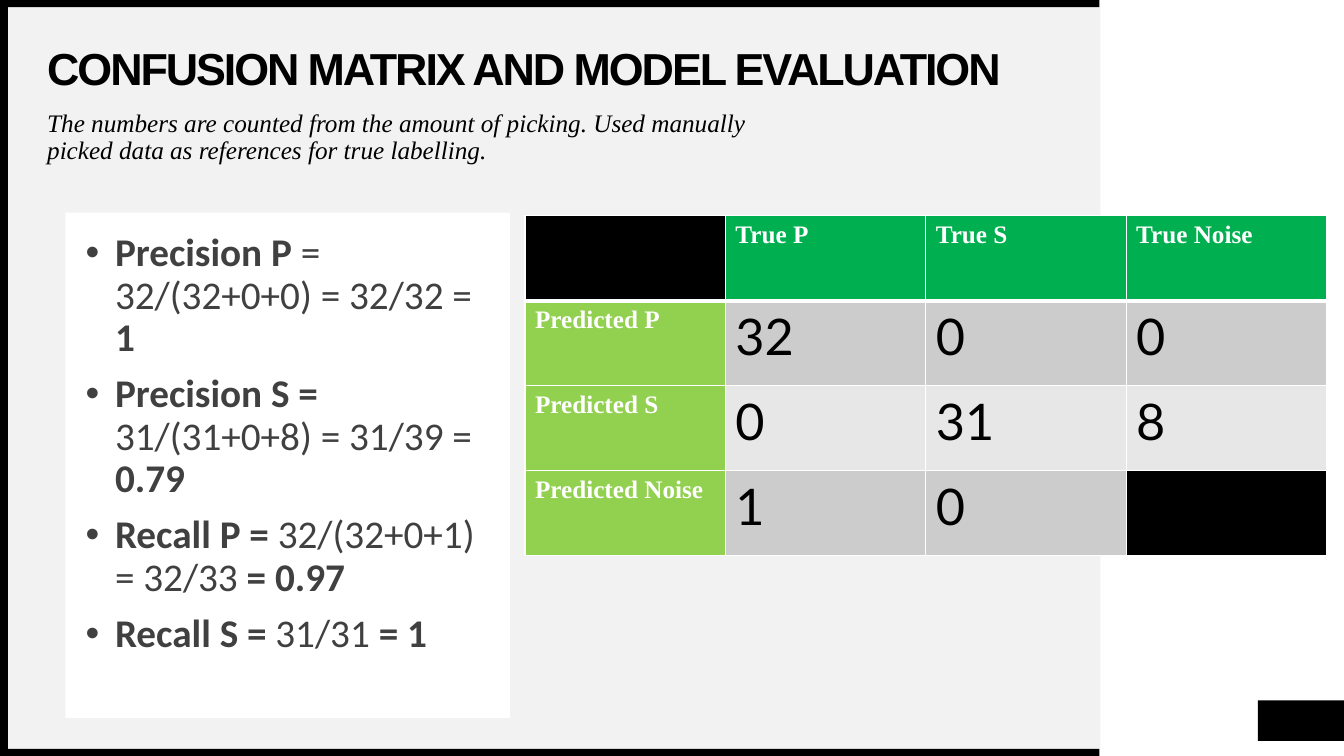
"""Build the confusion matrix and model evaluation slide."""
from lxml.etree import SubElement
from pptx import Presentation
from pptx.dml.color import RGBColor
from pptx.enum.shapes import MSO_SHAPE
from pptx.enum.text import MSO_ANCHOR, PP_ALIGN
from pptx.oxml import parse_xml
from pptx.oxml.ns import nsdecls, qn
from pptx.util import Cm, Pt

TITLE = "CONFUSION MATRIX AND MODEL EVALUATION"
SUBTITLE = ("The numbers are counted from the amount of picking. "
            "Used manually picked data as references for true labelling.")
SCORES = [
    ("Precision P", " = 32/(32+0+0) = 32/32 = ", "1"),
    ("Precision S = ", "31/(31+0+8) = 31/39 = ", "0.79"),
    ("Recall P = ", "32/(32+0+1) = 32/33 ", "= 0.97"),
    ("Recall S =", " 31/31 ", "= 1"),
]
MATRIX = [
    ("", "True P", "True S", "True Noise"),
    ("Predicted P", "32", "0", "0"),
    ("Predicted S", "0", "31", "8"),
    ("Predicted Noise", "1", "0", ""),
]
BLACK, WHITE, PANEL = "000000", "FFFFFF", "F2F2F2"
HEADER, LABEL, BANDS = "00B050", "92D050", ("E7E7E7", "CCCCCC")
BLOCKS = [
    (0.2, 0.18, 27.53, 18.69, PANEL),
    (31.7, 17.65, 2.17, 1.02, BLACK),
    (0, 18.87, 27.71, 0.18, BLACK),
    (0, 0, 27.71, 0.18, BLACK),
    (0, 0.09, 0.2, 18.97, BLACK),
]
COLUMN_WIDTH, ROW_HEIGHT = 5.05, 2.14


def paint(fill, color):
    fill.solid()
    fill.fore_color.rgb = RGBColor.from_string(color)


def style(font, name, size, color, bold=False, italic=False):
    font.name, font.size, font.bold, font.italic = name, Pt(size), bold, italic
    paint(font.fill, color)


def add_block(page, left, top, width, height, color):
    block = page.shapes.add_shape(
        MSO_SHAPE.RECTANGLE, Cm(left), Cm(top), Cm(width), Cm(height))
    block.shadow.inherit = False
    paint(block.fill, color)
    block.line.fill.background()
    return block


def set_frame(shape, inset, anchor):
    frame = shape.text_frame
    frame.word_wrap = True
    frame.vertical_anchor = anchor
    frame.margin_left = frame.margin_right = frame.margin_top = Cm(inset)
    frame.margin_bottom = 0
    return frame


def add_heading(page, text, top, width, height, anchor, *look):
    box = page.shapes.add_textbox(Cm(1.19), Cm(top), Cm(width), Cm(height))
    para = set_frame(box, 0, anchor).paragraphs[0]
    para.line_spacing = 0.9
    span = para.add_run()
    span.text = text
    style(para.font, *look)
    return span


def add_scores(page):
    panel = add_block(page, 1.65, 5.36, 11.2, 12.73, WHITE)
    frame = set_frame(panel, 0.51, MSO_ANCHOR.TOP)
    for index, parts in enumerate(SCORES):
        para = frame.add_paragraph() if index else frame.paragraphs[0]
        para.alignment = PP_ALIGN.LEFT
        para.line_spacing = 0.9
        para.space_before = Pt(10 if index else 0)
        properties = para._p.get_or_add_pPr()
        properties.set("marL", str(Cm(0.74)))
        properties.set("indent", str(-Cm(0.74)))
        SubElement(properties, qn("a:buFont"), typeface="Arial")
        SubElement(properties, qn("a:buChar"), char="•")
        style(para.font, "Calibri", 28, "404040")
        for part, bold in zip(parts, (True, False, True)):
            span = para.add_run()
            span.text = part
            span.font.bold = bold


def add_borders(cell, row):
    widths = {"L": 1, "R": 1, "T": 3 if row == 1 else 1, "B": 1 if row else 3}
    properties = cell._tc.get_or_add_tcPr()
    for position, (side, width) in enumerate(widths.items()):
        properties.insert(position, parse_xml(
            f'<a:ln{side} {nsdecls("a")} w="{Pt(width)}"><a:solidFill>'
            f'<a:srgbClr val="{WHITE}"/></a:solidFill></a:ln{side}>'))


def cell_color(row, column, text):
    if not text:
        return BLACK
    if row == 0:
        return HEADER
    return LABEL if column == 0 else BANDS[row % 2]


def add_matrix(page):
    rows, columns = len(MATRIX), len(MATRIX[0])
    table = page.shapes.add_table(
        rows, columns, Cm(13.23), Cm(5.44),
        Cm(COLUMN_WIDTH * columns), Cm(ROW_HEIGHT * rows)).table
    table.first_col = True
    for row, texts in enumerate(MATRIX):
        for column, text in enumerate(texts):
            cell = table.cell(row, column)
            paint(cell.fill, cell_color(row, column, text))
            add_borders(cell, row)
            cell.text = text
            font = cell.text_frame.paragraphs[0].font
            if row and column:
                style(font, "Lato", 36, BLACK)
            else:
                style(font, "Times New Roman", 18, WHITE, True)


def main():
    deck = Presentation()
    deck.slide_width, deck.slide_height = Cm(33.87), Cm(19.05)
    page = deck.slides.add_slide(deck.slide_layouts[6])
    for block in BLOCKS:
        add_block(page, *block)
    add_scores(page)
    title = add_heading(page, TITLE, 1.19, 25.37, 1.19, MSO_ANCHOR.MIDDLE,
                        "Arial", 32, BLACK, True)
    title._r.get_or_add_rPr().set("spc", "-150")
    add_heading(page, SUBTITLE, 2.79, 19.15, 0.99, MSO_ANCHOR.TOP,
                "Times New Roman", 18, BLACK, False, True)
    add_matrix(page)
    deck.save("out.pptx")


if __name__ == "__main__":
    main()
